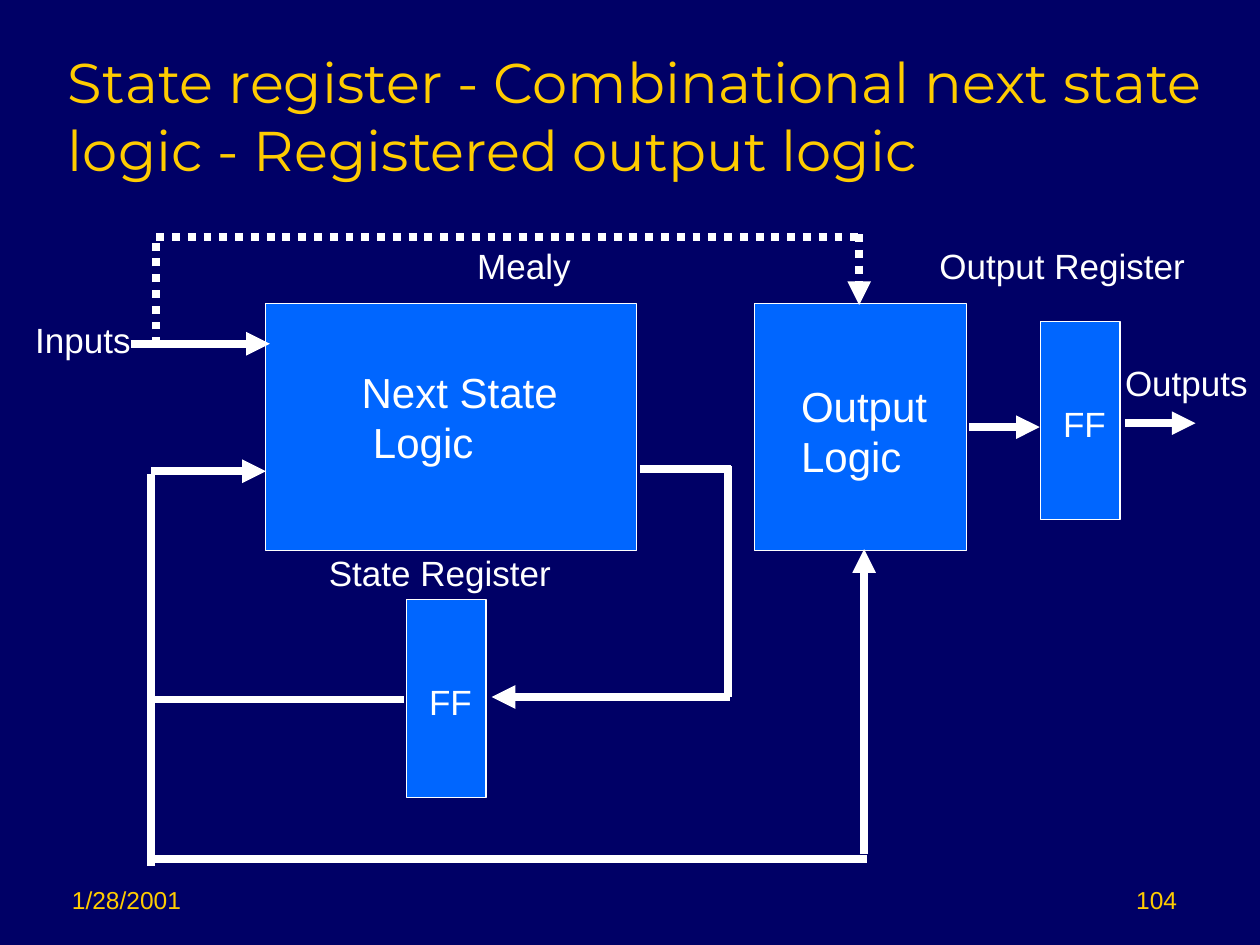
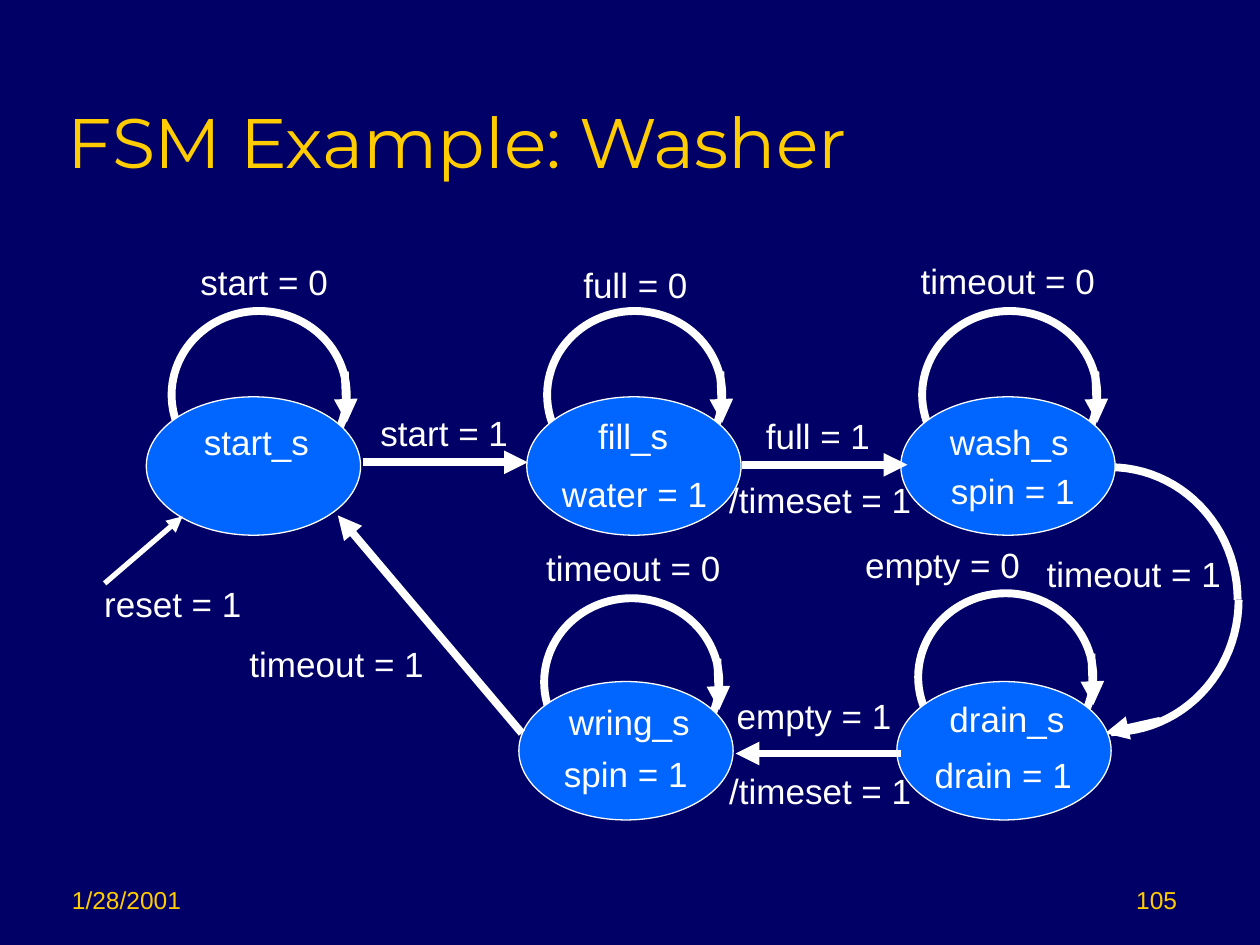
from dataclasses import dataclass
from math import cos, pi, sin
from typing import Any

from pptx import Presentation
from pptx.dml.color import RGBColor
from pptx.enum.dml import MSO_LINE as Dash
from pptx.enum.shapes import MSO_CONNECTOR as Conn, MSO_SHAPE as Form
from pptx.enum.text import MSO_ANCHOR as Anchor, MSO_AUTO_SIZE as Fit, PP_ALIGN as Align
from pptx.oxml.ns import qn
from pptx.util import Cm, Pt

NAVY = RGBColor(0x00, 0x00, 0x66)
BLUE = RGBColor(0x00, 0x66, 0xFF)
GOLD = RGBColor(0xFF, 0xCC, 0x00)
WHITE = RGBColor(0xFF, 0xFF, 0xFF)

HEAD = {"name": "Montserrat", "size": Pt(32), "color": GOLD}
FOOT = {"name": "Arial", "size": Pt(14), "color": GOLD}
LABEL = {"name": "Arial", "size": Pt(20), "color": WHITE}
BLOCK = LABEL | {"size": Pt(24)}

FIXED = {"word_wrap": True, "vertical_anchor": Anchor.BOTTOM}
LOOSE = {"word_wrap": True, "auto_size": Fit.NONE, "margin_right": Cm(0)}

THICK = 4.5
ROW = 1.12


def apply(item, form):
    for key, value in form.items():
        if key == "color":
            item.color.rgb = value
        else:
            setattr(item, key, value)


@dataclass
class Pane:
    slide: Any
    left: float = 0
    top: float = 0

    def sub(self, x, y):
        return Pane(self.slide, self.left + x, self.top + y)

    def spot(self, x, y):
        return Cm(self.left + x), Cm(self.top + y)

    def text(self, words, x, y, wide, high=ROW, font=LABEL, frame=LOOSE, align=Align.LEFT):
        box = self.slide.shapes.add_textbox(*self.spot(x, y), Cm(wide), Cm(high))
        body = box.text_frame
        body.text = words
        apply(body, frame)
        for para in body.paragraphs:
            para.alignment = align
            apply(para.font, font)
        return body

    def shape(self, form, x, y, wide, high, fill=BLUE, width=0.75):
        item = self.slide.shapes.add_shape(form, *self.spot(x, y), Cm(wide), Cm(high))
        self.paint(item, fill, width)

    def paint(self, item, fill, width):
        item.shadow.inherit = False
        if fill is None:
            item.fill.background()
        else:
            item.fill.solid()
            item.fill.fore_color.rgb = fill
        apply(item.line, {"color": WHITE, "width": Pt(width)})

    def line(self, x1, y1, x2, y2, tip=False, dots=False, width=THICK):
        item = self.slide.shapes.add_connector(
            Conn.STRAIGHT, *self.spot(x1, y1), *self.spot(x2, y2))
        apply(item.line, {"color": WHITE, "width": Pt(width)})
        if dots:
            item.line.dash_style = Dash.ROUND_DOT
        if tip:
            edge = item.line._get_or_add_ln()
            edge.append(edge.makeelement(qn("a:tailEnd"), {"type": "triangle"}))
        props = item._element.spPr
        props.append(props.makeelement(qn("a:effectLst"), {}))

    def curve(self, x, y, wide, high, start, steps=24):
        turns = [start + pi / 2 * i / steps for i in range(steps + 1)]
        dots = [self.spot(x + wide * cos(t), y + high * sin(t)) for t in turns]
        pen = self.slide.shapes.build_freeform(*dots[0])
        pen.add_line_segments(dots[1:], close=False)
        self.paint(pen.convert_to_shape(), None, THICK)


def add_page(deck, title, number, wide, size):
    slide = deck.slides.add_slide(deck.slide_layouts[6])
    fill = slide.background.fill
    fill.solid()
    fill.fore_color.rgb = NAVY
    page = Pane(slide)
    page.text(title, 1.12, 0.62, wide, 3.18, HEAD | {"size": Pt(size)}, FIXED)
    page.text("1/28/2001", 1.2, 17.28, 5.28, 1.27, FOOT, FIXED)
    page.text(number, 18.7, 17.28, 5.28, 1.27, FOOT, FIXED, Align.RIGHT)
    return page


def add_logic(pane, wide, words, x, y, span):
    pane.shape(Form.RECTANGLE, 0, 0, wide, 4.98)
    return pane.text(words, x, y, span, 2.29, BLOCK)


def add_store(pane):
    pane.shape(Form.RECTANGLE, 0, 0, 1.6, 3.99)
    pane.text("FF", 0.2, 1.5, 1.37)


def add_mealy(pane):
    pane.line(0, 2.18, 0, 0.02, dots=True)
    pane.line(0, 0, 14.17, 0, dots=True)
    pane.line(14.17, -0.06, 14.17, 1.37, tip=True, dots=True)
    pane.text("Mealy", 6.22, 0.02, 2.39)


def add_wires(pane):
    for ends in [
        (12.44, 4.67, 14.27, 4.67),
        (14.22, 4.62, 14.22, 9.27),
        (7.69, 9.32, 2.66, 9.32),
        (2.59, 12.67, 2.59, 4.77),
        (2.59, 12.54, 17.02, 12.54),
    ]:
        pane.line(*ends)
    for ends in [
        (2.18, 2.15, 4.98, 2.15),
        (19.07, 3.83, 20.5, 3.83),
        (14.25, 9.27, 9.45, 9.27),
        (2.59, 4.72, 4.9, 4.72),
        (16.96, 12.44, 16.96, 6.29),
        (22.22, 3.75, 23.64, 3.75),
    ]:
        pane.line(*ends, tip=True)


def add_machine(pane):
    body = add_logic(pane.sub(4.9, 1.34), 7.47, "Next State\nLogic", 1.68, 1.14, 4.45)
    body.paragraphs[1]._p.get_or_add_pPr().set("marL", str(Cm(0.23)))
    add_logic(pane.sub(14.75, 1.34), 4.27, "Output\nLogic", 0.69, 1.42, 3.05)
    add_store(pane.sub(7.74, 7.31))
    add_store(pane.sub(20.52, 1.7))
    add_wires(pane)
    add_mealy(pane.sub(2.69, 0))
    for label in [
        ("Inputs", 0, 1.52, 2.44),
        ("State Register", 5.92, 6.22, 4.98),
        ("Output Register", 18.23, 0.02, 5.46),
        ("Outputs", 21.97, 2.38, 2.97),
    ]:
        pane.text(*label)


def add_state(pane, loop, labels):
    ring = pane.sub(*loop)
    ring.shape(Form.OVAL, 0, 0, 3.53, 3.38, None, THICK)
    ring.line(3.49, 1.22, 3.53, 2.25, tip=True)
    pane.shape(Form.OVAL, 0, 0, 4.32, 2.79)
    for label in labels:
        pane.text(*label)


def add_sweep(pane):
    pane.curve(0, 2.67, 2.57, 2.67, -pi / 2)
    pane.curve(0.02, 2.67, 2.57, 2.67, 0)
    pane.line(1.01, 5.11, -0.1, 5.36, tip=True)


def add_washer(pane):
    add_sweep(pane.sub(20.53, 4.32))
    high, low = 2.9, 8.64
    for x, y, loop, labels in [
        (1.1, high, (0.51, -1.73), [
            ("start_s", 0.91, 0.36, 2.62),
            ("start = 0", 0.84, -2.87, 3.07)]),
        (8.77, high, (0.41, -1.73), [
            ("fill_s", 1.19, 0.23, 1.9),
            ("water = 1", 0.46, 1.4, 3.43),
            ("full = 0", 0.89, -2.82, 2.62)]),
        (16.31, high, (0.43, -1.73), [
            ("wash_s", 0.74, 0.36, 2.9),
            ("spin = 1", 0.76, 1.35, 3),
            ("timeout = 0", 0.15, -2.9, 4.01)]),
        (8.61, low, (0.51, -1.68), [
            ("wring_s", 0.76, 0.25, 2.95),
            ("spin = 1", 0.66, 1.3, 3),
            ("timeout = 0", 0.3, -2.84, 4.01)]),
        (16.23, low, (0.43, -1.78), [
            ("drain_s", 0.81, 0.2, 2.82),
            ("drain = 1", 0.51, 1.32, 3.28),
            ("empty = 0", -0.89, -2.9, 3.63)]),
    ]:
        add_state(pane.sub(x, y), loop, labels)
    for ends in [
        (5.47, 4.22, 8.79, 4.22),
        (13.11, 4.27, 16.44, 4.27),
        (16.31, 10.09, 12.98, 10.09),
        (8.67, 9.68, 4.96, 5.29),
    ]:
        pane.line(*ends, tip=True)
    pane.line(0.26, 6.66, 1.83, 5.31, tip=True, width=3)
    for label in [
        ("reset = 1", 0, 6.51, 3.28),
        ("start = 1", 5.57, 3.08, 3.07),
        ("full = 1", 13.34, 3.13, 2.62),
        ("/timeset = 1", 12.6, 4.42, 4.17),
        ("timeout = 1", 19, 5.92, 4.01),
        ("empty = 1", 12.75, 8.77, 3.63),
        ("/timeset = 1", 12.6, 10.29, 4.17),
        ("timeout = 1", 2.93, 7.73, 4.01),
    ]:
        pane.text(*label)


def main():
    deck = Presentation()
    apply(deck, {"slide_width": Cm(25.4), "slide_height": Cm(19.05)})
    title = "State register - Combinational next state logic - Registered output logic"
    page = add_page(deck, title, "104", 24.28, 32)
    add_machine(page.sub(0.46, 4.78))
    page = add_page(deck, "FSM Example: Washer", "105", 21.59, 40)
    add_washer(page.sub(1.85, 5.1))
    deck.save("out.pptx")


if __name__ == "__main__":
    main()
